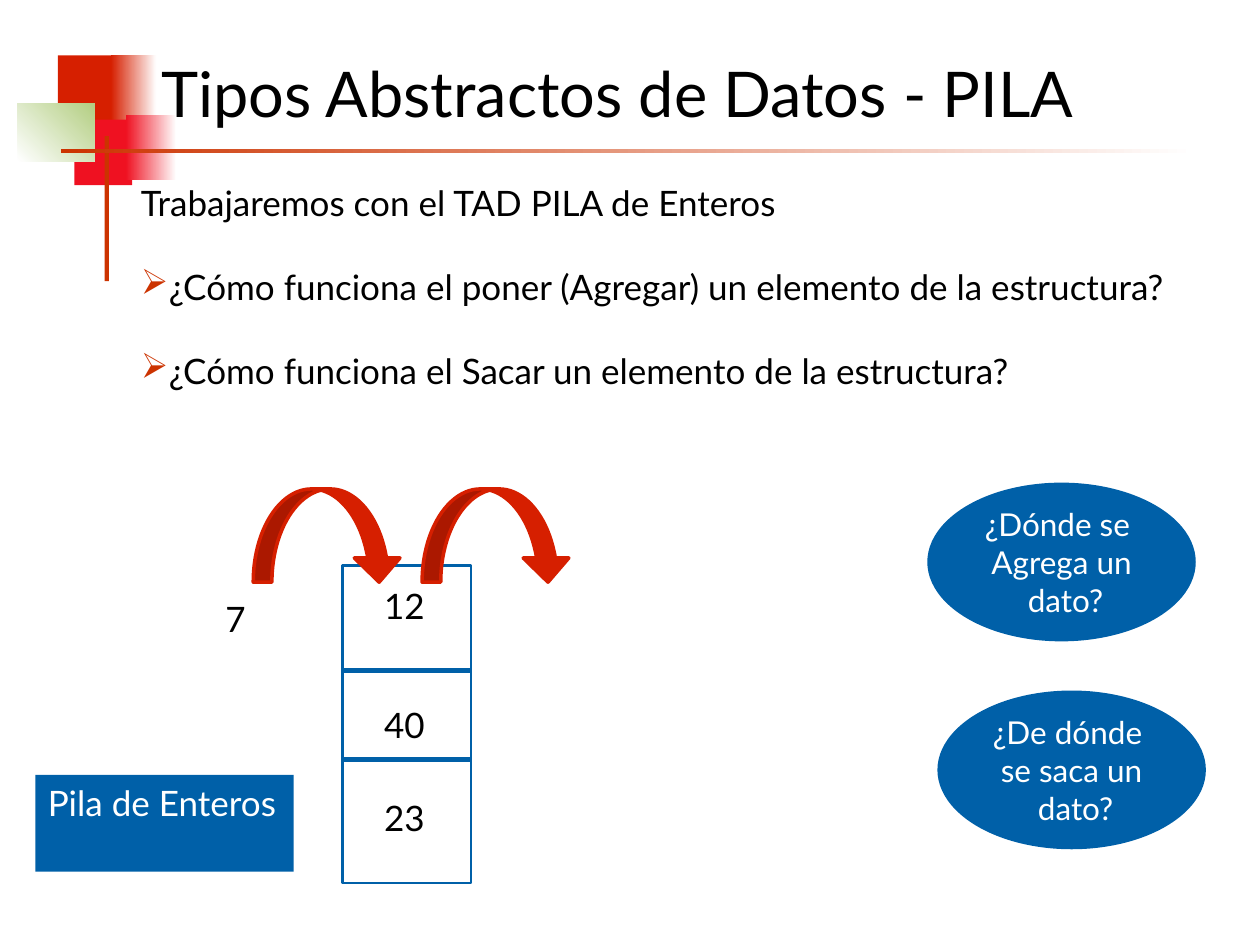
from pptx import Presentation
from pptx.dml.color import RGBColor
from pptx.enum import shapes, text
from pptx.oxml import parse_xml
from pptx.oxml.ns import nsdecls
from pptx.util import Pt

FONT, BLACK, WHITE = "Lato", "000000", "FFFFFF"
BLUE, RED, RUST = "0060A8", "D61F00", "CC3300"
KIND, ALIGN, ANCHOR = shapes.MSO_SHAPE, text.PP_ALIGN, text.MSO_ANCHOR

# Content; boxes are left, top, width, height in points
TITLE = "Tipos Abstractos de Datos - PILA"
BODY = [
    ("Trabajaremos con el TAD PILA de Enteros", False),
    ("¿Cómo funciona el poner (Agregar) un elemento de la estructura?", True),
    ("¿Cómo funciona el Sacar un elemento de la estructura? ", True),
]
DECOR = [  # box, colours, gradient angle
    ((33.1, 31.7, 34.6, 37.4), [RED], 0),
    ((63.4, 31.7, 25.9, 37.4), [RED, WHITE], 0),
    ((42.5, 68.4, 33.1, 37.4), ["EF1121"], 0),
    ((72, 65.5, 28.8, 37.4), ["EF1121", WHITE], 0),
    ((10.1, 59, 43.9, 33.1), [WHITE, "B3CE82"], 45),
    ((59.8, 77.8, 2.4, 82.8), [RUST], 0),
    ((34.6, 85, 648, 2.4), [RUST, WHITE], 0),
]
STACK = (195.8, 323.3, 73.4, 181.4)
SPLITS = [434.2, 383]
NUMBERS = [("23", 212.4, 451.4), ("40", 212.4, 398.2),
           ("12", 212.4, 330.5), ("7", 121.7, 337.7)]
ARROWS = [241.2, 144.7]
ASKS = [
    (529.9, 275.8, ["¿Dónde se ", "Agrega un", " dato?"]),
    (535.7, 394.6, ["¿De dónde ", "se saca un", " dato?"]),
]

deck = Presentation()
deck.slide_width, deck.slide_height = Pt(720), Pt(540)
slide = deck.slides.add_slide(deck.slide_layouts[5])
items = slide.shapes


def rgb(code):
    return RGBColor.from_string(code)


def paint(fill, tones, angle=0):
    if not tones:
        fill.background()
    elif len(tones) == 1:
        fill.solid()
        fill.fore_color.rgb = rgb(tones[0])
    else:
        fill.gradient()
        fill.gradient_angle = angle
        for stop, tone in zip(fill.gradient_stops, tones):
            stop.color.rgb = rgb(tone)


def draw(kind, box, tones, angle=0, line=None, width=1):
    item = items.add_shape(kind, *map(Pt, box))
    item.shadow.inherit = False
    paint(item.fill, tones, angle)
    if line:
        item.line.color.rgb = rgb(line)
        item.line.width = Pt(width)
    else:
        item.line.fill.background()
    return item


def write(item, lines, size=20, tone=BLACK, align=ALIGN.JUSTIFY,
          anchor=ANCHOR.TOP, wrap=True):
    frame = item.text_frame
    frame.word_wrap, frame.vertical_anchor = wrap, anchor
    for n, line in enumerate(lines):
        para = frame.add_paragraph() if n else frame.paragraphs[0]
        para.alignment = align
        run = para.add_run()
        run.text = line
        font = run.font
        font.name, font.size, font.color.rgb = FONT, Pt(size), rgb(tone)
    return frame


def label(box, lines):
    return write(items.add_textbox(*map(Pt, box)), lines)


def mark(para):
    props = para._p.get_or_add_pPr()
    props.set("marL", str(Pt(16)))
    props.set("indent", str(-Pt(16)))
    names = nsdecls("a")
    props.append(parse_xml(
        f'<a:buClr {names}><a:srgbClr val="{RUST}"/></a:buClr>'))
    props.append(parse_xml(f'<a:buChar {names} char="➢"/>'))


# Corner blocks and rules
for box, tones, angle in DECOR:
    draw(KIND.RECTANGLE, box, tones, angle)

# Title, above the corner blocks
title = items.title
title.left, title.top, title.width, title.height = map(
    Pt, (85, 15.1, 558.7, 62.6))
write(title, [TITLE], 36, BLACK, ALIGN.LEFT, ANCHOR.BOTTOM)
items._spTree.append(title._element)

# Body
frame = label((73.4, 100.1, 626.4, 151.2), [line for line, _ in BODY])
for para, (_, dotted) in zip(frame.paragraphs, BODY):
    if dotted:
        para.space_before = Pt(24)
        mark(para)

# Stack with its dividers
draw(KIND.RECTANGLE, STACK, [], line=BLUE, width=1.5)
left, _, wide, _ = STACK
for y in SPLITS:
    rule = items.add_connector(shapes.MSO_CONNECTOR.STRAIGHT,
                               Pt(left), Pt(y), Pt(left + wide), Pt(y))
    rule.line.color.rgb = rgb(BLUE)
    rule.line.width = Pt(3)
    rule._element.spPr.append(parse_xml(f'<a:effectLst {nsdecls("a")}/>'))

# Caption and numbers
write(draw(KIND.RECTANGLE, (20.2, 442.8, 147.6, 55.4), [BLUE]),
      ["Pila de Enteros"], tone=WHITE)
for value, x, y in NUMBERS:
    label((x, y, 39.6, 31.7), [value])

# Push and pop arrows
for x in ARROWS:
    arrow = draw(KIND.CURVED_DOWN_ARROW, (x, 279.4, 85, 53.3), [RED],
                 line=RED, width=2)
    for n, part in enumerate((0.2, 0.49, 0.26)):
        arrow.adjustments[n] = part

# Questions
for x, y, lines in ASKS:
    write(draw(KIND.OVAL, (x, y, 153.4, 90.7), [BLUE]), lines, 18, WHITE,
          ALIGN.CENTER, ANCHOR.MIDDLE, False)

deck.save("out.pptx")
